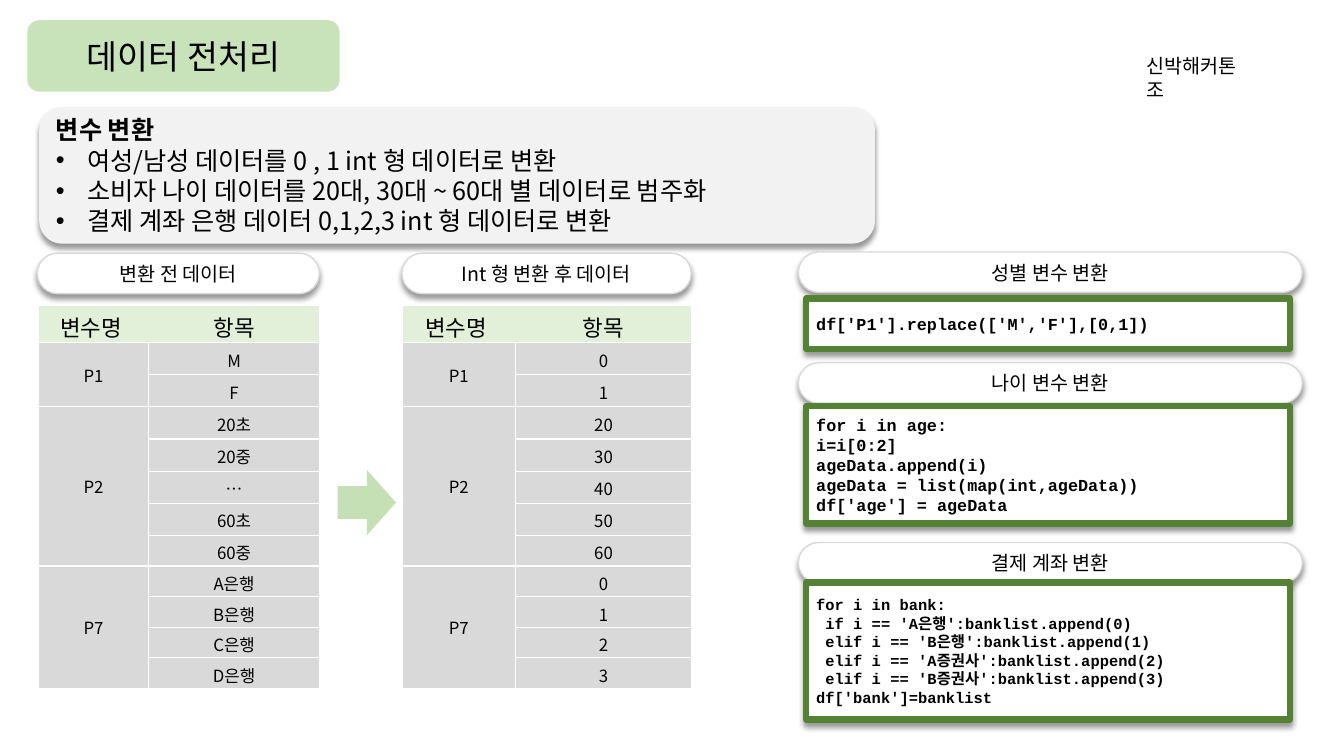
from lxml import etree
from pptx import Presentation
from pptx import util as u
from pptx.dml.color import RGBColor
from pptx.enum import shapes, text
from pptx.oxml.ns import qn

SANS = "Noto Sans CJK KR"
ROUNDED = shapes.MSO_SHAPE.ROUNDED_RECTANGLE
CENTER = text.PP_ALIGN.CENTER
LEFT = text.PP_ALIGN.LEFT
ROW_HEIGHTS = [0.93] + [0.81] * 6 + [0.77] * 5
VARIABLES = [("P1", 2), ("P2", 5), ("P7", 4)]
BEFORE = ["M", "F", "20초", "20중", "…", "60초", "60중", "A은행", "B은행", "C은행", "D은행"]
AFTER = ["0", "1", "20", "30", "40", "50", "60", "0", "1", "2", "3"]
GENDER_CODE = ["df['P1'].replace(['M','F'],[0,1])"]
AGE_CODE = [
    "for i in age:",
    "i=i[0:2]",
    "ageData.append(i)",
    "ageData = list(map(int,ageData))",
    "df['age'] = ageData",
]
BANK_CODE = [
    "for i in bank:",
    " if i == 'A은행':banklist.append(0)",
    " elif i == 'B은행':banklist.append(1)",
    " elif i == 'A증권사':banklist.append(2)",
    " elif i == 'B증권사':banklist.append(3)",
    "df['bank']=banklist",
]


def color(value):
    return RGBColor.from_string(value)


def add_run(paragraph, words, size, font=SANS, bold=False):
    run = paragraph.add_run()
    run.text = words
    run.font.size = u.Pt(size)
    run.font.name = font
    run.font.bold = bold
    run.font.color.rgb = color("000000")
    east_asian = etree.SubElement(run.font._element, qn("a:ea"))
    east_asian.set("typeface", SANS)


def add_bullet(paragraph):
    properties = paragraph._p.get_or_add_pPr()
    properties.set("marL", str(u.Cm(0.79)))
    properties.set("indent", str(u.Cm(-0.79)))
    etree.SubElement(properties, qn("a:buFont")).set("typeface", "Arial")
    etree.SubElement(properties, qn("a:buChar")).set("char", "•")


def add_shadow(shape):
    effects = etree.SubElement(shape._element.spPr, qn("a:effectLst"))
    shadow = etree.SubElement(
        effects, qn("a:outerShdw"), blurRad=str(u.Pt(4)), dist=str(u.Pt(3)),
        dir="5400000", algn="t", rotWithShape="0")
    black = etree.SubElement(shadow, qn("a:srgbClr"), val="000000")
    etree.SubElement(black, qn("a:alpha"), val="40000")


def add_box(slide, kind, box, fill, line=None, width=1, shadow=False):
    shape = slide.shapes.add_shape(kind, *map(u.Cm, box))
    shape.fill.solid()
    shape.fill.fore_color.rgb = color(fill)
    if line:
        shape.line.color.rgb = color(line)
        shape.line.width = u.Pt(width)
    else:
        shape.line.fill.background()
    if shadow:
        add_shadow(shape)
    else:
        shape.shadow.inherit = False
    return shape


def write_lines(shape, lines, size, font=SANS, bold=False, align=LEFT):
    frame = shape.text_frame
    frame.word_wrap = True
    frame.vertical_anchor = text.MSO_ANCHOR.MIDDLE
    for index, words in enumerate(lines):
        paragraph = frame.add_paragraph() if index else frame.paragraphs[0]
        paragraph.alignment = align
        add_run(paragraph, words, size, font, bold)


def add_title(slide):
    title = add_box(slide, ROUNDED, (0.69, 0.51, 7.87, 1.8), "C8E2B9")
    write_lines(title, ["데이터 전처리"], 24, "Roboto", align=CENTER)


def add_team_name(slide):
    label = slide.shapes.add_textbox(u.Cm(28.65), u.Cm(1.24), u.Cm(2.92), u.Cm(0.86))
    label.text_frame.word_wrap = True
    add_run(label.text_frame.paragraphs[0], "신박해커톤조", 14, "Roboto")


def add_summary(slide, heading, points):
    panel = add_box(slide, ROUNDED, (0.99, 2.69, 21.06, 3.45), "F2F2F2", shadow=True)
    write_lines(panel, [heading], 18, bold=True)
    for point in points:
        paragraph = panel.text_frame.add_paragraph()
        paragraph.alignment = LEFT
        add_bullet(paragraph)
        add_run(paragraph, point, 18)


def add_pill(slide, left, top, width, caption):
    pill = add_box(slide, ROUNDED, (left, top, width, 1.02), "FFFFFF", "D9D9D9", shadow=True)
    pill.adjustments[0] = 0.5
    write_lines(pill, [caption], 14, align=CENTER)


def add_code(slide, top, height, lines, size):
    box = (20.32, top, 12.19, height)
    panel = add_box(slide, shapes.MSO_SHAPE.RECTANGLE, box, "FFFFFF", "548235", 4.5, True)
    write_lines(panel, lines, size, "Courier New", True)


def fill_cell(cell, words, size, fill):
    cell.fill.solid()
    cell.fill.fore_color.rgb = color(fill)
    cell.vertical_anchor = text.MSO_ANCHOR.MIDDLE
    paragraph = cell.text_frame.paragraphs[0]
    paragraph.alignment = CENTER
    add_run(paragraph, words, size)


def hide_border(cell, side):
    border = etree.Element(qn(f"a:{side}"), w="0")
    etree.SubElement(border, qn("a:noFill"))
    cell._tc.get_or_add_tcPr().insert(0, border)


def add_data_table(slide, left, widths, values):
    frame = slide.shapes.add_table(
        len(ROW_HEIGHTS), 2, u.Cm(left), u.Cm(7.7), u.Cm(sum(widths)), u.Cm(sum(ROW_HEIGHTS)))
    table = frame.table
    table.first_row = False
    table.horz_banding = False
    for column, width in zip(table.columns, widths):
        column.width = u.Cm(width)
    for row, height in zip(table.rows, ROW_HEIGHTS):
        row.height = u.Cm(height)
    fill_cell(table.cell(0, 0), "변수명 ", 16, "E2F0D9")
    fill_cell(table.cell(0, 1), "항목", 16, "E2F0D9")
    hide_border(table.cell(0, 0), "lnR")
    hide_border(table.cell(0, 1), "lnL")
    first = 1
    for name, count in VARIABLES:
        table.cell(first, 0).merge(table.cell(first + count - 1, 0))
        fill_cell(table.cell(first, 0), name, 12, "D9D9D9")
        first += count
    for row, value in enumerate(values, 1):
        fill_cell(table.cell(row, 1), value, 12, "D9D9D9")


def main():
    presentation = Presentation()
    presentation.slide_width = u.Cm(33.87)
    presentation.slide_height = u.Cm(19.05)
    slide = presentation.slides.add_slide(presentation.slide_layouts[6])
    add_team_name(slide)
    add_title(slide)
    add_summary(slide, "변수 변환", [
        "여성/남성 데이터를 0 , 1 int 형 데이터로 변환",
        "소비자 나이 데이터를 20대, 30대 ~ 60대 별 데이터로 범주화",
        "결제 계좌 은행 데이터 0,1,2,3 int 형 데이터로 변환",
    ])
    add_data_table(slide, 0.97, (2.78, 4.3), BEFORE)
    add_box(slide, shapes.MSO_SHAPE.RIGHT_ARROW, (8.51, 11.84, 1.47, 1.65), "C5E0B4")
    add_data_table(slide, 10.13, (2.86, 4.44), AFTER)
    add_pill(slide, 0.94, 6.38, 7.11, "변환 전 데이터")
    add_pill(slide, 10.13, 6.38, 7.29, "Int 형 변환 후 데이터")
    for pill_top, caption, top, height, lines, size in [
        (6.35, "성별 변수 변환", 7.52, 1.27, GENDER_CODE, 12),
        (9.14, "나이 변수 변환", 10.24, 2.95, AGE_CODE, 12),
        (13.67, "결제 계좌 변환", 14.68, 3.45, BANK_CODE, 11),
    ]:
        add_pill(slide, 20.12, pill_top, 12.7, caption)
        add_code(slide, top, height, lines, size)
    presentation.save("out.pptx")


if __name__ == "__main__":
    main()
